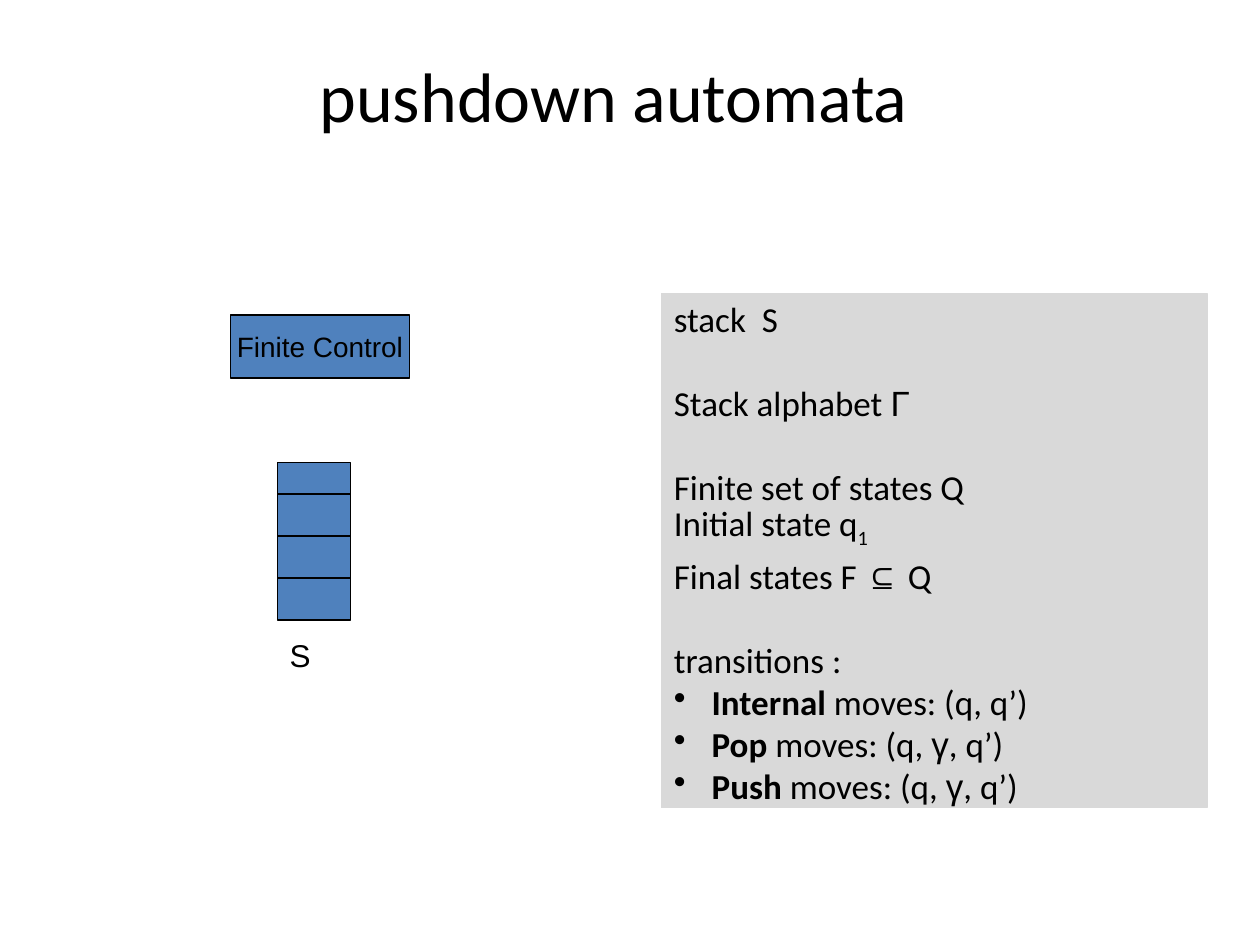
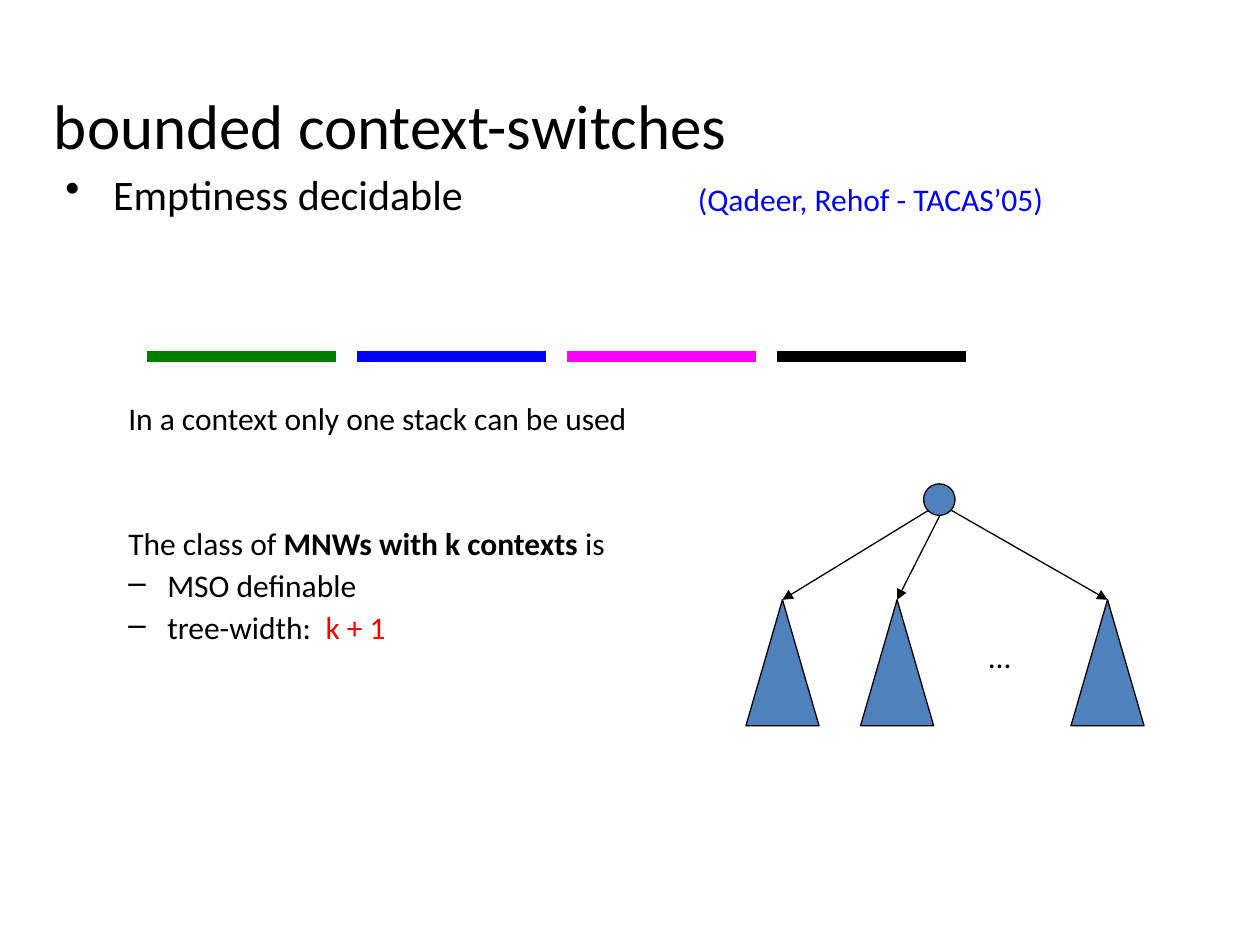
from lxml import etree
from pptx import Presentation
from pptx.dml.color import RGBColor
from pptx.enum.shapes import MSO_CONNECTOR, MSO_SHAPE
from pptx.enum.text import MSO_ANCHOR, PP_ALIGN
from pptx.oxml.ns import qn
from pptx.util import Inches, Pt

RECT = MSO_SHAPE.RECTANGLE
OVAL = MSO_SHAPE.OVAL
WEDGE = MSO_SHAPE.ISOSCELES_TRIANGLE
LINE = MSO_CONNECTOR.STRAIGHT
TOP, MIDDLE = MSO_ANCHOR.TOP, MSO_ANCHOR.MIDDLE
LEFT, CENTER = PP_ALIGN.LEFT, PP_ALIGN.CENTER
COLORS = {
    "ink": "000000", "node": "4F81BD", "panel": "D9D9D9", "green": "008000",
    "blue": "0000FF", "pink": "FF00FF", "red": "FF0000",
}
BODY, PLAIN = "Calibri", "Arial"


def tint(name):
    """Return the named colour."""
    return RGBColor.from_string(COLORS[name])


def add_para(frame, parts, size, font=BODY, color="ink", align=LEFT,
             before=0, spacing=None, bullet=None, margin=0, hang=0):
    """Fill the next paragraph with plain strings or (text, style) pairs."""
    para = frame.paragraphs[0]
    if para.runs:
        para = frame.add_paragraph()
    para.alignment = align
    para.space_before = Pt(before)
    if spacing:
        para.line_spacing = spacing
    para.font.size = Pt(size)
    para.font.name = font
    para.font.color.rgb = tint(color)
    for part in parts:
        words, style = (part, {}) if isinstance(part, str) else part
        run = para.add_run()
        run.text = words
        if "bold" in style:
            run.font.bold = True
        if "font" in style:
            run.font.name = style["font"]
        if "color" in style:
            run.font.color.rgb = tint(style["color"])
        if "base" in style:
            run.font._element.set("baseline", str(style["base"] * 1000))
    props = para._p.get_or_add_pPr()
    props.set("marL", str(Inches(margin)))
    props.set("indent", str(Inches(-hang)))
    if bullet:
        mark = etree.Element(qn("a:buChar"), char=bullet)
        props.find(qn("a:defRPr")).addprevious(mark)


def set_frame(shape, anchor=TOP, wrap=True, top=0.05):
    """Set the text margins of a shape and return its frame."""
    frame = shape.text_frame
    frame.word_wrap = wrap
    frame.vertical_anchor = anchor
    frame.margin_left = frame.margin_right = Inches(0.1)
    frame.margin_top, frame.margin_bottom = Inches(top), Inches(0.05)
    return frame


def add_text(slide, box, wrap=True, top=0.05):
    """Add a text box and return its frame."""
    return set_frame(slide.shapes.add_textbox(*map(Inches, box)), wrap=wrap, top=top)


def add_form(slide, kind, box, fill="node", edge="ink"):
    """Add a filled shape with a thin edge."""
    shape = slide.shapes.add_shape(kind, *map(Inches, box))
    shape.shadow.inherit = False
    shape.fill.solid()
    shape.fill.fore_color.rgb = tint(fill)
    shape.line.color.rgb = tint(edge)
    shape.line.width = Pt(0.75)
    return shape


def add_line(slide, start, end, color="ink", width=0.75, arrow=False):
    """Add a straight line, with an arrowhead at its end on request."""
    line = slide.shapes.add_connector(LINE, *map(Inches, (*start, *end)))
    line.line.color.rgb = tint(color)
    line.line.width = Pt(width)
    if arrow:
        etree.SubElement(line.line._get_or_add_ln(), qn("a:tailEnd"), type="triangle")
    etree.SubElement(line._element.spPr, qn("a:effectLst"))


def add_title(slide, words, size, y, top, align):
    """Add the slide title."""
    frame = add_text(slide, (0.33, y, 9.08, 1.25), top=top)
    add_para(frame, [words], size, align=align)


def draw_stack(slide, x, y):
    """Draw the control unit above its stack."""
    unit = add_form(slide, RECT, (x, y, 1.42, 0.5))
    add_para(set_frame(unit, MIDDLE, wrap=False), ["Finite Control"], 16,
             font=PLAIN, align=CENTER)
    left, top, width, height = x + 0.37, y + 1.17, 0.58, 1.25
    add_form(slide, RECT, (left, top, width, height))
    for row in range(1, 4):
        level = top + height - row / 3
        add_line(slide, (left, level), (left + width, level))
    label = add_text(slide, (left, top + height + 0.08, 0.67, 0.4))
    add_para(label, ["S"], 18, font=PLAIN)


def draw_panel(slide, box):
    """Draw the grey panel that defines the automaton."""
    frame = set_frame(add_form(slide, RECT, box, "panel", "panel"), top=0.03)
    gamma = ("γ", {"font": PLAIN})
    facts = [
        (0, ["stack  S"]),
        (24, ["Stack alphabet ", ("Γ", {"font": PLAIN})]),
        (24, ["Finite set of states Q"]),
        (0, ["Initial state q", ("1", {"base": -25})]),
        (3, ["Final states F ", ("⊆", {"font": PLAIN}), " Q"]),
        (24, ["transitions :"]),
    ]
    moves = [
        ("Internal", [" moves: (q, q’)"]),
        ("Pop", [" moves: (q, ", gamma, ", q’)"]),
        ("Push", [" moves: (q, ", gamma, ", q’)"]),
    ]
    for before, parts in facts:
        add_para(frame, parts, 20, before=before, spacing=Pt(24))
    for name, rest in moves:
        add_para(frame, [(name, {"bold": True}), *rest], 20, spacing=Pt(24),
                 bullet="•", margin=0.3, hang=0.3)


def draw_notes(slide, box):
    """Write the claim, its citation and the remarks below."""
    x, y, width, height = box
    frame = add_text(slide, box)
    add_para(frame, ["Emptiness decidable"], 24, spacing=0.9,
             bullet="•", margin=0.38, hang=0.38)
    remarks = [
        (105, ["In a context only one stack can be used"]),
        (52.5, ["The class of ", ("MNWs with k contexts", {"bold": True}), " is"]),
    ]
    for before, parts in remarks:
        add_para(frame, parts, 18, before=before, spacing=0.9, margin=0.5)
    for parts in (["MSO definable"], ["tree-width:  ", ("k + 1", {"color": "red"})]):
        add_para(frame, parts, 18, before=4.5, spacing=0.9,
                 bullet="–", margin=0.81, hang=0.31)
    cite = add_text(slide, (x + 5.02, y + 0.05, 3.2, 0.4))
    add_para(cite, ["(Qadeer, Rehof - TACAS’05)"], 18, color="blue")


def draw_bars(slide, x, y):
    """Draw one coloured bar for each context."""
    for i, color in enumerate(("green", "blue", "pink", "ink")):
        start = x + i * 5 / 3
        add_line(slide, (start, y), (start + 1.5, y), color, 6)


def draw_tree(slide, x, y):
    """Draw the root and arrows to its subtrees."""
    root = x + 1.41
    width, top = 0.58, y + 0.92
    add_form(slide, OVAL, (root, y, 0.25, 0.25))
    limbs = [(0, 0.04, 0.21), (0.91, 0.13, 0.25), (2.58, 0.22, 0.21)]
    for shift, right, down in limbs:
        left = x + shift
        add_form(slide, WEDGE, (left, top, width, 1))
        add_line(slide, (root + right, y + down), (left + width / 2, top), arrow=True)
    dots = add_text(slide, (x + 1.83, y + 1.17, 0.37, 0.4), wrap=False)
    add_para(dots, ["…"], 18)


def main():
    """Build both slides and save them."""
    deck = Presentation()
    deck.slide_width, deck.slide_height = Inches(10), Inches(7.5)
    blank = deck.slide_layouts[6]

    slide = deck.slides.add_slide(blank)
    add_title(slide, "pushdown automata", 40, 0.42, 0, CENTER)
    draw_stack(slide, 1.83, 2.5)
    draw_panel(slide, (5.25, 2.33, 4.33, 4.08))

    slide = deck.slides.add_slide(blank)
    add_title(slide, "bounded context-switches", 36, 0.33, 0.36, LEFT)
    draw_notes(slide, (0.42, 1.33, 9.17, 5.5))
    draw_bars(slide, 1.17, 2.83)
    draw_tree(slide, 5.92, 3.84)

    deck.save("out.pptx")


if __name__ == "__main__":
    main()
